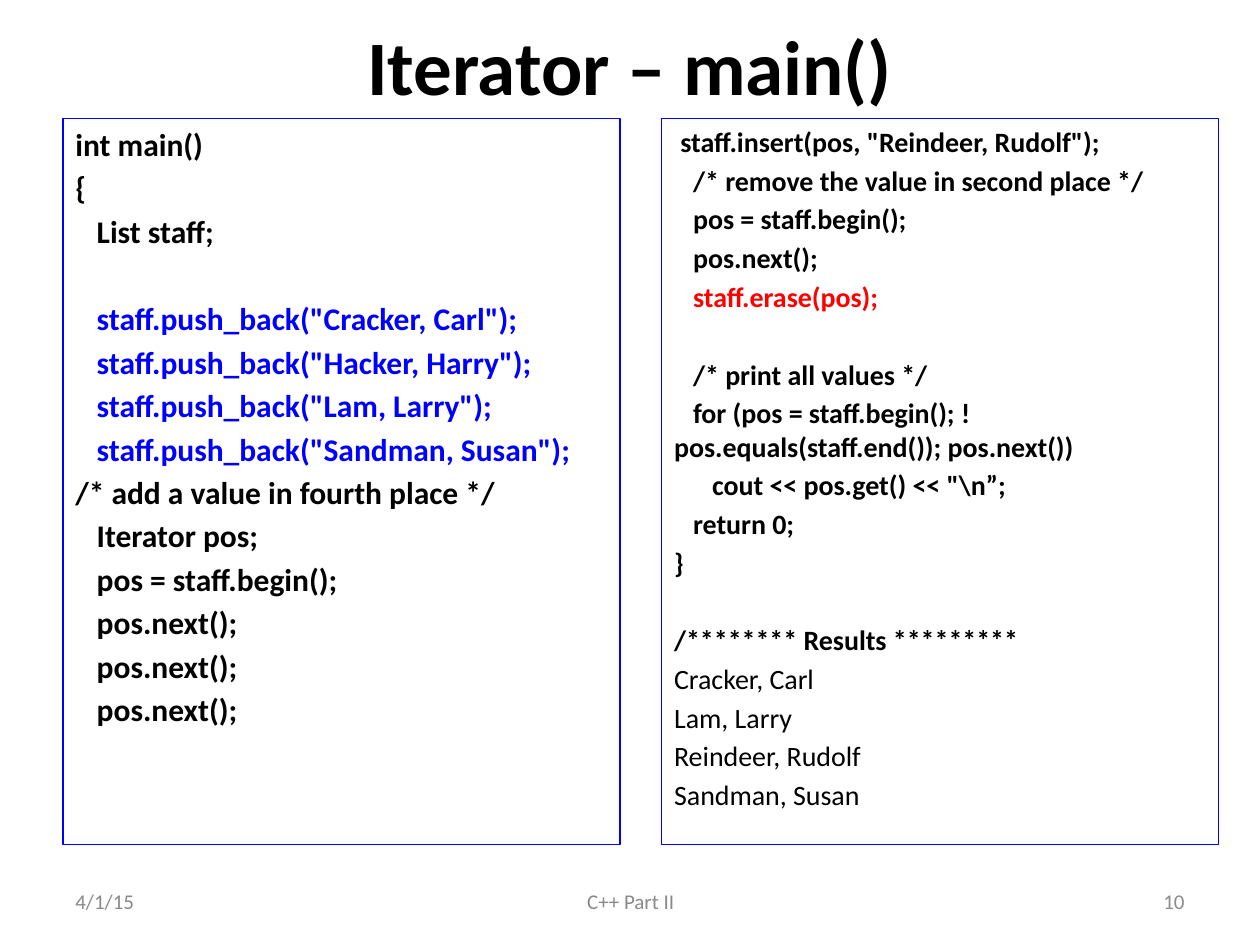
"""Build the slide that shows the main() function of the iterator example."""
import pptx
import pptx.dml.color
import pptx.enum.shapes
import pptx.enum.text
import pptx.util

Cm, Pt = pptx.util.Cm, pptx.util.Pt
ALIGN = pptx.enum.text.PP_ALIGN
ANCHOR = pptx.enum.text.MSO_ANCHOR
BLACK, BLUE, RED, GRAY = "000000", "0000FF", "FF0000", "898989"
FONT = "Calibri"
SPACE_WIDTH = 0.226
LINE_HEIGHT = 1.22
SPACE_BEFORE = 0.18

TITLE = "Iterator – main()"
MAIN_START = [
    dict(text="int main()"),
    dict(text="{"),
    dict(text="List staff;", indent=3),
    dict(text='staff.push_back("Cracker, Carl");', indent=3, color=BLUE, skip=1),
    dict(text='staff.push_back("Hacker, Harry");', indent=3, color=BLUE),
    dict(text='staff.push_back("Lam, Larry");', indent=3, color=BLUE),
    dict(text='staff.push_back("Sandman, Susan");', indent=3, color=BLUE),
    dict(text="/* add a value in fourth place */"),
    dict(text="Iterator pos;", indent=3),
    dict(text="pos = staff.begin();", indent=3),
    dict(text="pos.next();", indent=3),
    dict(text="pos.next();", indent=3),
    dict(text="pos.next();", indent=3),
]
MAIN_END = [
    dict(text='staff.insert(pos, "Reindeer, Rudolf");', indent=1),
    dict(text="/* remove the value in second place */", indent=3),
    dict(text="pos = staff.begin();", indent=3),
    dict(text="pos.next();", indent=3),
    dict(text="staff.erase(pos);", indent=3, color=RED),
    dict(text="/* print all values */", indent=3, skip=1),
    dict(text="for (pos = staff.begin(); !pos.equals(staff.end()); pos.next())", indent=3),
    dict(text='cout << pos.get() << "\\n”;', indent=6),
    dict(text="return 0;", indent=3),
    dict(text="}"),
    dict(text="/******** Results *********", skip=1),
    dict(text="Cracker, Carl", bold=False),
    dict(text="Lam, Larry", bold=False),
    dict(text="Reindeer, Rudolf", bold=False),
    dict(text="Sandman, Susan", bold=False),
]
PANELS = [(1.27, 18, MAIN_START), (13.34, 16, MAIN_END)]
FOOTERS = [
    ("4/1/15", 1.27, 5.92, ALIGN.LEFT, GRAY),
    ("C++ Part II", 8.69, 8.05, ALIGN.CENTER, GRAY),
    ("10", 18.21, 5.92, ALIGN.RIGHT, "8C8C8C"),
]


def rgb(value):
    """Turn a hex string into a colour."""
    return pptx.dml.color.RGBColor.from_string(value)


def write(para, text, size, color=BLACK, bold=False, align=ALIGN.LEFT):
    """Write one formatted run into a paragraph."""
    para.alignment = align
    span = para.add_run()
    span.text = text
    span.font.name = FONT
    span.font.size = Pt(size)
    span.font.bold = bold
    span.font.color.rgb = rgb(color)


def add_label(page, text, left, top, width, height, **style):
    """Add a single line of text, centred vertically in its box."""
    box = page.shapes.add_textbox(Cm(left), Cm(top), Cm(width), Cm(height))
    box.text_frame.word_wrap = True
    box.text_frame.vertical_anchor = ANCHOR.MIDDLE
    write(box.text_frame.paragraphs[0], text, **style)


def add_panel(page, left, size, lines):
    """Add an outlined panel of code lines."""
    box = page.shapes.add_shape(pptx.enum.shapes.MSO_SHAPE.RECTANGLE,
                                Cm(left), Cm(2.39), Cm(11.23), Cm(14.63))
    box.shadow.inherit = False
    box.fill.background()
    box.line.color.rgb = rgb(BLUE)
    box.line.width = Pt(0.75)
    frame = box.text_frame
    frame.word_wrap = True
    frame.vertical_anchor = ANCHOR.TOP
    for number, line in enumerate(lines):
        para = frame.add_paragraph() if number else frame.paragraphs[0]
        skip = line.get("skip", 0)
        para.space_before = Pt(size * (SPACE_BEFORE + skip * (LINE_HEIGHT + SPACE_BEFORE)))
        indent = Pt(line.get("indent", 0) * SPACE_WIDTH * size)
        para._p.get_or_add_pPr().set("indent", str(int(indent)))
        write(para, line["text"], size, line.get("color", BLACK), line.get("bold", True))


deck = pptx.Presentation()
deck.slide_width, deck.slide_height = Cm(25.4), Cm(19.05)
page = deck.slides.add_slide(deck.slide_layouts[6])
add_label(page, TITLE, 1.27, 0.2, 22.86, 2.21, size=44, bold=True, align=ALIGN.CENTER)
for left, size, lines in PANELS:
    add_panel(page, left, size, lines)
for text, left, width, align, color in FOOTERS:
    add_label(page, text, left, 17.65, width, 1.02, size=12, color=color, align=align)
deck.save("out.pptx")
